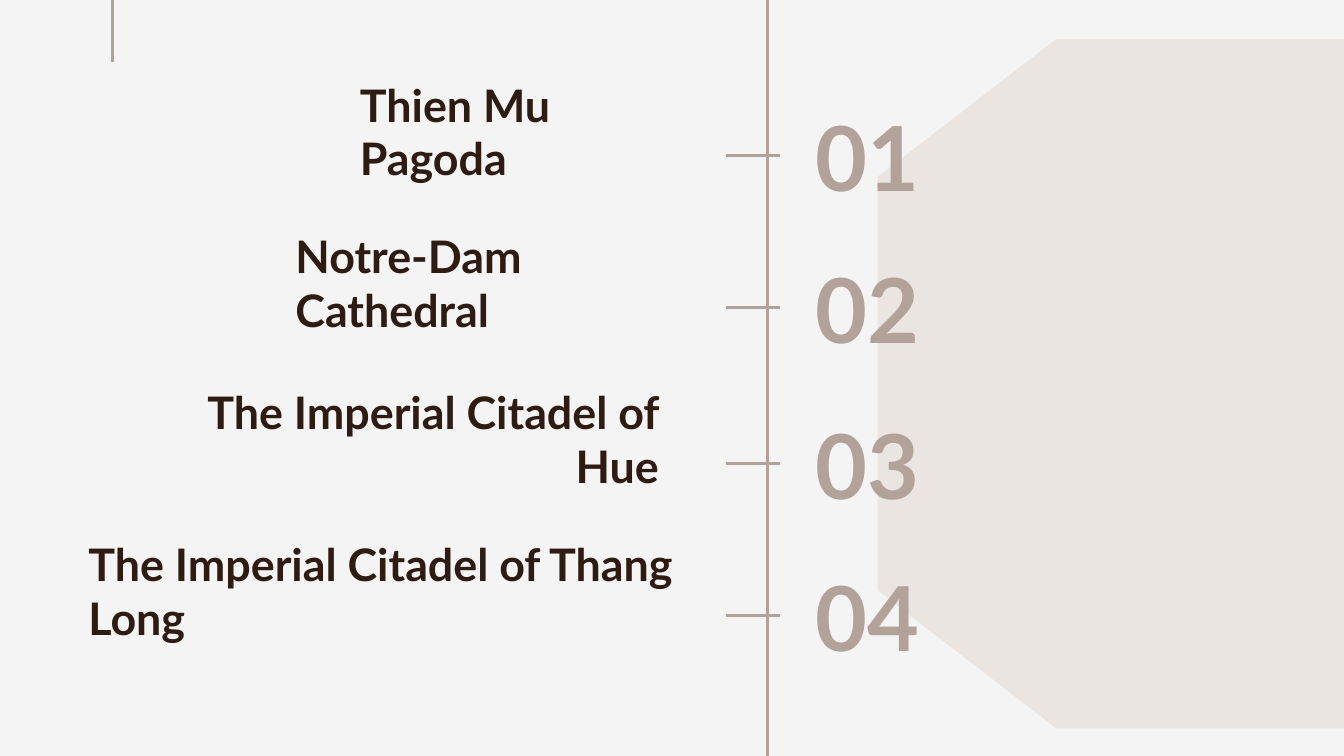
from dataclasses import dataclass

from lxml.etree import SubElement
from pptx import Presentation
from pptx.dml.color import RGBColor
from pptx.enum.shapes import MSO_CONNECTOR, MSO_SHAPE
from pptx.enum.text import MSO_ANCHOR, PP_ALIGN
from pptx.oxml.ns import qn
from pptx.util import Inches, Pt


@dataclass(frozen=True)
class Theme:
    background: str = "F4F4F4"
    panel: str = "EAE5E1"
    accent: str = "B3A29A"
    ink: str = "2E1B11"
    font: str = "Lato"
    title_size: int = 24
    number_size: int = 48
    line_width: float = 1.5


@dataclass(frozen=True)
class Box:
    x: float
    y: float
    w: float
    h: float

    @property
    def middle(self):
        return self.y + self.h / 2

    def emu(self):
        return [Inches(v) for v in (self.x, self.y, self.w, self.h)]


THEME = Theme()
SLIDE = Box(0, 0, 10, 10 * 9 / 16)
COL = SLIDE.w / 10  # ten-column grid
ROW_HEIGHT = 0.63
AXIS = 5.71 * COL

# Row centre, title, left edge and width in columns, alignment
AGENDA = [
    (1.16, "Thien Mu Pagoda", 2.58, 2.46, PP_ALIGN.LEFT),
    (2.29, "Notre-Dam Cathedral", 2.10, 3.13, PP_ALIGN.LEFT),
    (3.45, "The Imperial Citadel of Hue", 1.12, 3.88, PP_ALIGN.RIGHT),
    (4.58, "The Imperial Citadel of Thang Long", 0.56, 4.60, PP_ALIGN.LEFT),
]


def add_line(slide, x1, y1, x2, y2):
    line = slide.shapes.add_connector(
        MSO_CONNECTOR.STRAIGHT, *[Inches(v) for v in (x1, y1, x2, y2)])
    line.line.color.rgb = RGBColor.from_string(THEME.accent)
    line.line.width = Pt(THEME.line_width)
    SubElement(line._element.spPr, qn("a:effectLst"))


def add_text(slide, box, text, size, color, anchor, align=PP_ALIGN.LEFT):
    tf = slide.shapes.add_textbox(*box.emu()).text_frame
    tf.word_wrap = True
    tf.vertical_anchor = anchor
    tf.margin_left = tf.margin_right = Inches(0.1)
    tf.margin_top = tf.margin_bottom = Inches(0.1)
    p = tf.paragraphs[0]
    p.text = text
    p.alignment = align
    p.font.name = THEME.font
    p.font.size = Pt(size)
    p.font.bold = True
    p.font.color.rgb = RGBColor.from_string(color)


def add_fill(slide, kind, box):
    sp = slide.shapes.add_shape(kind, *box.emu())
    sp.fill.solid()
    sp.fill.fore_color.rgb = RGBColor.from_string(THEME.panel)
    sp.line.fill.background()
    sp.shadow.inherit = False
    return sp


def draw_panel(slide, box):
    """Bevelled panel: an upright hexagon whose right half is squared off."""
    hexagon_w = 2.66 * COL
    center = box.x + hexagon_w / 2
    lying = Box(center - box.h / 2, box.middle - hexagon_w / 2, box.h, hexagon_w)
    add_fill(slide, MSO_SHAPE.FLOWCHART_PREPARATION, lying).rotation = 90
    add_fill(slide, MSO_SHAPE.RECTANGLE,
             Box(center, box.y, box.w - hexagon_w / 2, box.h))


def draw_axis(slide, box):
    """Vertical timeline and the short rule in the top left corner."""
    add_line(slide, AXIS, box.y, AXIS, box.y + box.h)
    add_line(slide, 0.84 * COL, box.y, 0.84 * COL, box.y + 0.46)


def draw_row(slide, box, number, title, left, width, align):
    """One agenda row: title, number and tick on the axis."""
    add_text(slide, Box(box.x + left * COL, box.y, width * COL, box.h),
             title, THEME.title_size, THEME.ink, MSO_ANCHOR.BOTTOM, align)
    add_text(slide, Box(box.x + 5.97 * COL, box.y, 1.27 * COL, box.h),
             f"{number:02}", THEME.number_size, THEME.accent, MSO_ANCHOR.MIDDLE)
    add_line(slide, box.x + 5.8 * COL, box.middle, box.x + 5.4 * COL, box.middle)


def main():
    prs = Presentation()
    prs.slide_width, prs.slide_height = Inches(SLIDE.w), Inches(SLIDE.h)
    s = prs.slides.add_slide(prs.slide_layouts[6])
    s.background.fill.solid()
    s.background.fill.fore_color.rgb = RGBColor.from_string(THEME.background)

    # Panel behind, then agenda rows and axis
    draw_panel(s, Box(6.53 * COL, 0.29, 3.66 * COL, 5.13))
    for number, (center, *item) in enumerate(AGENDA, start=1):
        row = Box(0, center - ROW_HEIGHT / 2, SLIDE.w, ROW_HEIGHT)
        draw_row(s, row, number, *item)
    draw_axis(s, SLIDE)

    prs.save("out.pptx")


if __name__ == "__main__":
    main()
